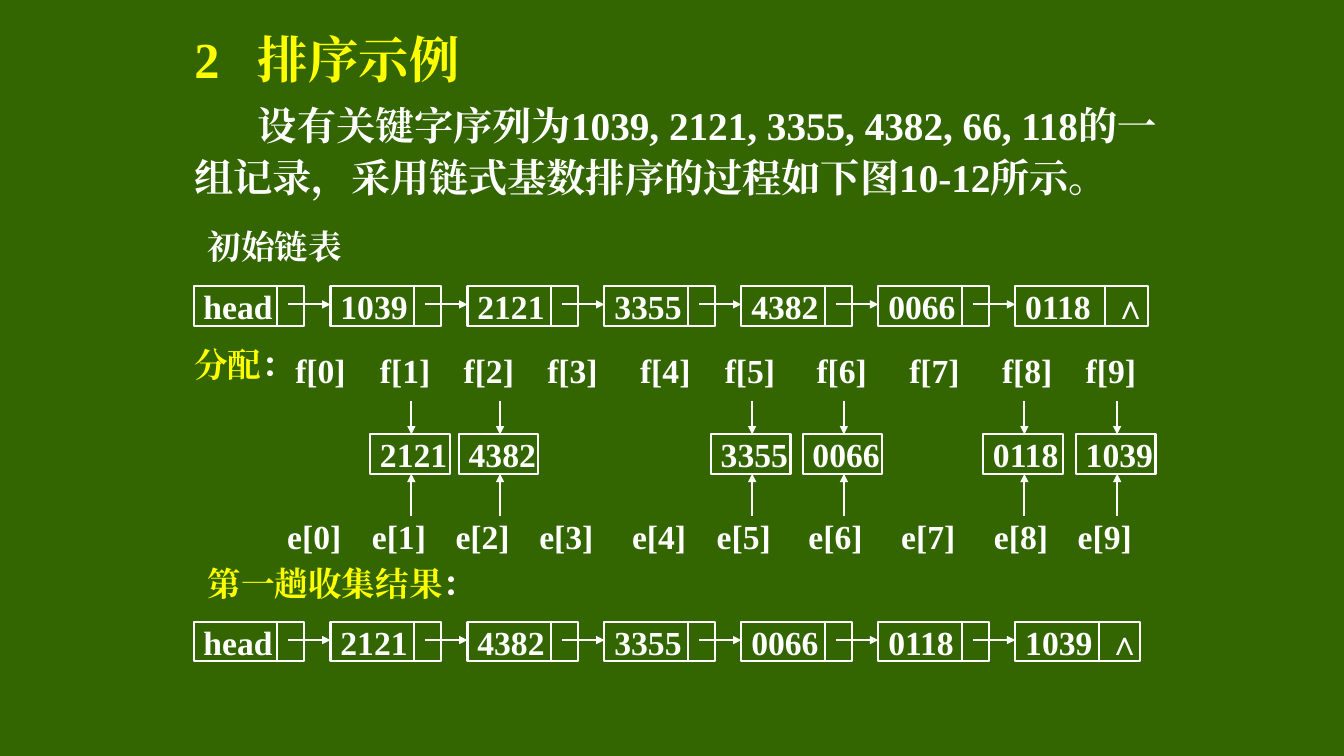
"""Builds the slide on radix sorting of a linked list."""
from lxml import etree
from pptx import Presentation
from pptx.dml.color import RGBColor
from pptx.enum.shapes import MSO_CONNECTOR, MSO_SHAPE
from pptx.enum.text import MSO_ANCHOR, PP_ALIGN
from pptx.oxml.ns import qn
from pptx.util import Inches, Pt

GREEN = RGBColor(0x33, 0x66, 0x00)
YELLOW = RGBColor(0xFF, 0xFF, 0x00)
WHITE = RGBColor(0xFF, 0xFF, 0xFF)
STRAIGHT = MSO_CONNECTOR.STRAIGHT
RECTANGLE = MSO_SHAPE.RECTANGLE
MIDDLE = MSO_ANCHOR.MIDDLE
LEFT = PP_ALIGN.LEFT
SERIF = "Times New Roman"
SANS = "Noto Sans CJK SC"
ROW = 0.39


class Board:
    """Holds the style and the current slide."""

    def __init__(self, slide):
        self.slide = slide
        slide.background.fill.solid()
        slide.background.fill.fore_color.rgb = GREEN

    def add_words(self, paragraph, text, color=WHITE, size=24, font=SERIF):
        run = paragraph.add_run()
        run.text = text
        run.font.size = Pt(size)
        run.font.bold = True
        run.font.color.rgb = color
        run.font.name = font
        east_asian = etree.SubElement(run.font._element, qn("a:ea"))
        east_asian.set("typeface", SERIF)

    def tab(self, paragraph, position):
        stops = etree.SubElement(paragraph._p.get_or_add_pPr(), qn("a:tabLst"))
        etree.SubElement(stops, qn("a:tab"), pos=str(Inches(position)), algn="l")

    def fill_frame(self, frame, runs):
        frame.word_wrap = False
        frame.vertical_anchor = MIDDLE
        frame.margin_right = 0
        paragraph = frame.paragraphs[0]
        paragraph.alignment = LEFT
        for run in runs:
            self.add_words(paragraph, *run)
        return paragraph

    def label(self, left, top, width, *runs):
        area = self.slide.shapes.add_textbox(
            Inches(left), Inches(top), Inches(width), Inches(ROW))
        self.fill_frame(area.text_frame, runs)

    def cell(self, left, top, width, text):
        box = self.slide.shapes.add_shape(
            RECTANGLE, Inches(left), Inches(top), Inches(width), Inches(ROW))
        box.shadow.inherit = False
        box.fill.background()
        box.line.color.rgb = WHITE
        box.line.width = Pt(1.5)
        return self.fill_frame(box.text_frame, [(text,)])

    def line(self, x1, y1, x2, y2, arrow=False):
        stroke = self.slide.shapes.add_connector(
            STRAIGHT, Inches(x1), Inches(y1), Inches(x2), Inches(y2))
        stroke.line.color.rgb = WHITE
        stroke.line.width = Pt(1.5)
        if arrow:
            etree.SubElement(stroke.line._get_or_add_ln(), qn("a:tailEnd"), type="triangle")
        etree.SubElement(stroke._element.spPr, qn("a:effectLst"))

    def linked_list(self, top, keys, last_width, last_divider):
        start, pitch = 1.92, 8.15 / 6
        for index, key in enumerate(["head"] + keys[:-1]):
            left = start + index * pitch
            self.cell(left, top, 1.1, key)
            self.line(left + 0.83, top, left + 0.83, top + ROW)
            self.line(left + 0.94, top + 0.18, left + pitch, top + 0.18, arrow=True)
        left = start + len(keys) * pitch
        last = self.cell(left, top, last_width, keys[-1] + "\t∧")
        self.tab(last, last_divider - 0.01)
        self.line(left + last_divider, top, left + last_divider, top + ROW)

    def bucket(self, left, key):
        self.cell(left, 4.31, 0.79, key)
        middle = left + 0.41
        self.line(middle, 3.98, middle, 4.31, arrow=True)
        self.line(middle, 5.12, middle, 4.7, arrow=True)

    def introduction(self):
        area = self.slide.shapes.add_textbox(
            Inches(1.83), Inches(0.17), Inches(9.75), Inches(1.93))
        frame = area.text_frame
        frame.word_wrap = True
        heading = frame.paragraphs[0]
        heading.line_spacing = 1.1
        self.tab(heading, 0.63)
        self.add_words(heading, "2\t排序示例", YELLOW, 36)
        task = frame.add_paragraph()
        task.line_spacing = 1.1
        task.space_before = Pt(5.6)
        task._p.get_or_add_pPr().set("indent", str(Inches(0.63)))
        self.add_words(task, "设有关键字序列为1039, 2121, 3355, 4382, 66, 118的一组记录，"
                       "采用链式基数排序的过程如下图10-12所示", size=28)
        self.add_words(task, "。", size=28, font=SANS)


def main():
    deck = Presentation()
    deck.slide_width, deck.slide_height = Inches(13.33), Inches(7.5)
    board = Board(deck.slides.add_slide(deck.slide_layouts[6]))

    board.introduction()
    board.label(1.96, 2.25, 1.49, ("初始链表",))
    board.linked_list(2.84, ["1039", "2121", "3355", "4382", "0066", "0118"], 1.32, 0.89)

    board.label(1.83, 3.42, 0.94, ("分配", YELLOW), ("：",))
    queue_lefts = [2.83, 3.67, 4.5, 5.33, 6.25, 7.09, 8, 8.92, 9.84, 10.67]
    for digit, left in enumerate(queue_lefts):
        board.label(left, 3.48, 0.75, (f"f[{digit}]",))
        board.label(left - 0.08, 5.12, 0.75, (f"e[{digit}]",))
    buckets = {"2121": 3.67, "4382": 4.55, "3355": 7.05,
               "0066": 7.96, "0118": 9.75, "1039": 10.67}
    for key, left in buckets.items():
        board.bucket(left, key)

    board.label(1.96, 5.59, 2.68, ("第一趟收集结果", YELLOW), ("：",))
    board.linked_list(6.17, list(buckets), 1.24, 0.83)
    deck.save("out.pptx")


if __name__ == "__main__":
    main()
